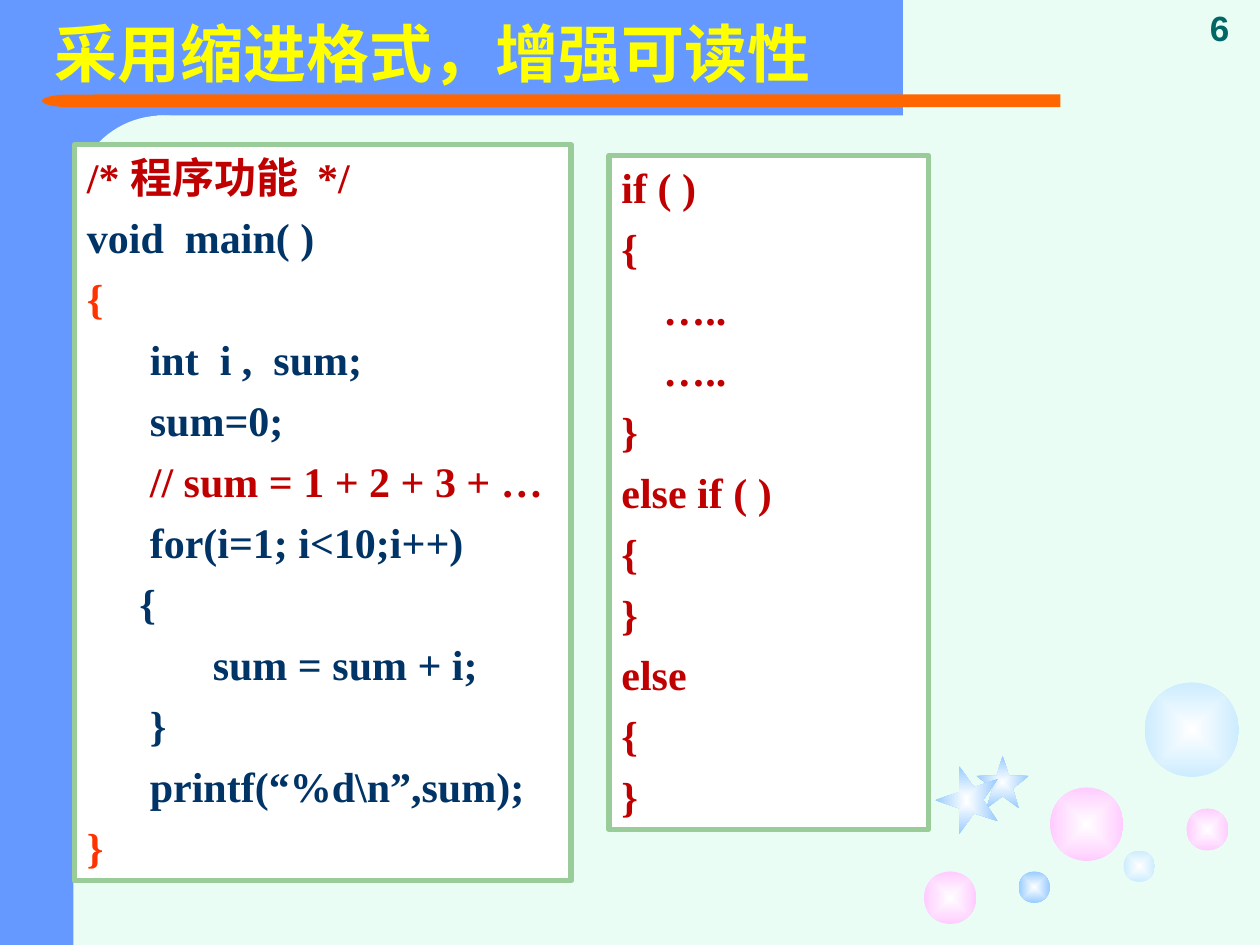
import pptx
import pptx.dml.color
import pptx.enum.shapes
import pptx.enum.text
import pptx.oxml
import pptx.oxml.ns
import pptx.util

SHAPE = pptx.enum.shapes.MSO_SHAPE
ANCHOR = pptx.enum.text.MSO_ANCHOR
ALIGN = pptx.enum.text.PP_ALIGN
COLORS = {
    "mint": "E9FDF4", "blue": "6699FF", "orange": "FF6600", "white": "FFFFFF",
    "pink": "FFCCFF", "pale": "CCECFF", "sky": "99CCFF", "green": "99CC99",
    "yellow": "FFFF00", "teal": "006666", "red": "C00000", "navy": "003366",
    "brace": "FF3300",
}
COLUMNS, ROWS = 120, 90

# Each line is a list of (colour, text) runs.
MAIN_CODE = [
    [("red", "/* 程序功能  */")],
    [("navy", "void  main( )")],
    [("brace", "{")],
    [("navy", "      int  i ,  sum;")],
    [("navy", "      sum=0;")],
    [("navy", "      "), ("red", "// sum = 1 + 2 + 3 + …")],
    [("navy", "      for(i=1; i<10;i++)")],
    [("navy", "     {")],
    [("navy", "            sum = sum + i;")],
    [("navy", "      }")],
    [("navy", "      printf(“%d\\n”,sum);")],
    [("brace", "}")],
]
BRANCH_CODE = [[("red", line)] for line in (
    "if ( )", "{", "    …..", "    …..", "}", "else if ( )", "{", "}", "else", "{", "}")]

# Left, top and diameter in grid units, then the edge colour.
BUBBLES = [
    (100, 75, 7, "pink"), (88, 83, 5, "pink"), (107, 81, 3, "pale"),
    (113, 77, 4, "pink"), (109, 65, 9, "pale"), (97, 83, 3, "sky"),
]


def rgb(name):
    return pptx.dml.color.RGBColor.from_string(COLORS[name])


class SlideBuilder:
    code_format = {"name": "Times New Roman", "size": pptx.util.Pt(24), "bold": True}
    heading_format = {"name": "Arial", "size": pptx.util.Pt(36), "bold": True}
    number_format = {"name": "Arial", "size": pptx.util.Pt(20), "bold": True}

    def __init__(self, presentation):
        self.column = presentation.slide_width / COLUMNS
        self.row = presentation.slide_height / ROWS
        self.slide = presentation.slides.add_slide(presentation.slide_layouts[6])
        background = self.slide.background.fill
        background.solid()
        background.fore_color.rgb = rgb("mint")

    def place(self, left, top, width, height):
        """Turn grid units into slide lengths."""
        return (round(left * self.column), round(top * self.row),
                round(width * self.column), round(height * self.row))

    def shape(self, kind, box, color, rotation=0):
        shape = self.slide.shapes.add_shape(kind, *self.place(*box))
        shape.shadow.inherit = False
        shape.rotation = rotation
        shape.fill.solid()
        shape.fill.fore_color.rgb = rgb(color)
        shape.line.fill.background()
        return shape

    def glow(self, kind, box, edge, rotation=0):
        """Add a shape that fades from a white centre to the edge colour."""
        shape = self.shape(kind, box, edge, rotation)
        shape.fill.gradient()
        for stop, color in zip(shape.fill.gradient_stops, ("white", edge)):
            stop.color.rgb = rgb(color)
        linear = next(shape.element.iter(pptx.oxml.ns.qn("a:lin")))
        linear.getparent().replace(linear, pptx.oxml.parse_xml(
            f'<a:path {pptx.oxml.ns.nsdecls("a")} path="shape">'
            '<a:fillToRect l="50000" t="50000" r="50000" b="50000"/></a:path>'))

    def fill_text(self, frame, lines, formats, anchor, align=ALIGN.LEFT, gap=0):
        frame.word_wrap = True
        frame.vertical_anchor = anchor
        for index, runs in enumerate(lines):
            paragraph = frame.paragraphs[0] if index == 0 else frame.add_paragraph()
            paragraph.alignment = align
            if index:
                paragraph.space_before = pptx.util.Pt(gap)
            for color, text in runs:
                run = paragraph.add_run()
                run.text = text
                run.font.color.rgb = rgb(color)
                for name, value in formats.items():
                    setattr(run.font, name, value)

    def label(self, box, color, text, formats, anchor, align=ALIGN.LEFT):
        text_box = self.slide.shapes.add_textbox(*self.place(*box))
        self.fill_text(text_box.text_frame, [[(color, text)]], formats, anchor, align)

    def code_panel(self, box, lines):
        panel = self.shape(SHAPE.RECTANGLE, box, "white")
        panel.line.color.rgb = rgb("green")
        panel.line.width = pptx.util.Pt(3)
        self.fill_text(panel.text_frame, lines, self.code_format, ANCHOR.TOP, gap=6)


def main():
    presentation = pptx.Presentation()
    presentation.slide_width = pptx.util.Inches(10)
    presentation.slide_height = pptx.util.Inches(7.5)
    builder = SlideBuilder(presentation)

    builder.shape(SHAPE.RECTANGLE, (0, 0, 15, 90), "blue")
    builder.shape(SHAPE.RECTANGLE, (6, 0, 80, 11), "blue")
    corner = builder.shape(SHAPE.ROUNDED_RECTANGLE, (7, 11, 17, 69), "mint")
    corner.adjustments[0] = 0.5
    builder.shape(SHAPE.RECTANGLE, (9, 9, 92, 1.2), "orange")
    builder.shape(SHAPE.FLOWCHART_DELAY, (4, 9, 5.1, 1.2), "orange", rotation=180)
    builder.shape(SHAPE.RECTANGLE, (7, 71, 17, 19), "mint")

    for left, top, diameter, edge in BUBBLES:
        builder.glow(SHAPE.OVAL, (left, top, diameter, diameter), edge)
    builder.glow(SHAPE.STAR_5_POINT, (93, 72, 5, 5), "sky")
    builder.glow(SHAPE.STAR_5_POINT, (88.8, 73.2, 6.5, 6), "sky", rotation=270)

    builder.label((4, 0, 101, 10), "yellow", "采用缩进格式，增强可读性",
                  builder.heading_format, ANCHOR.MIDDLE)
    builder.label((112.3, 0, 7.7, 5.2), "teal", "6",
                  builder.number_format, ANCHOR.BOTTOM, ALIGN.CENTER)
    builder.code_panel((7.1, 13.8, 47.3, 70.1), MAIN_CODE)
    builder.code_panel((58, 14.8, 30.4, 64.2), BRANCH_CODE)

    presentation.save("out.pptx")


if __name__ == "__main__":
    main()
